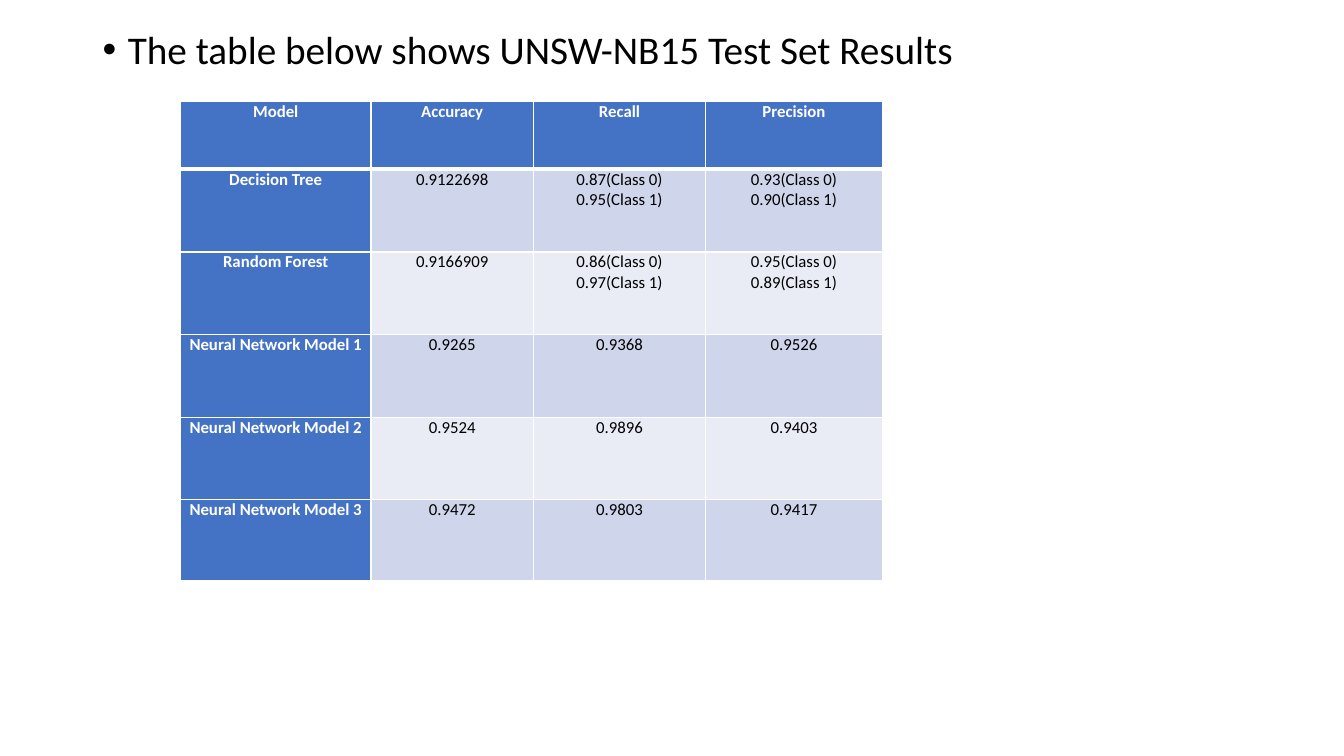
import pptx
import pptx.dml.color
import pptx.enum.text
import pptx.oxml
import pptx.oxml.ns
import pptx.util
from pptx.util import Inches

theme = {
    "font": "Calibri",
    "heading_size": 28,
    "table_size": 12,
    "text": "000000",
    "label_text": "FFFFFF",
    "label_fill": "4472C4",
    "bands": ["E9EBF5", "CFD5EA"],
    "border": "FFFFFF",
}


def format_runs(paragraph, size, color, bold=False):
    for run in paragraph.runs:
        font_format = {"name": theme["font"], "size": pptx.util.Pt(size), "bold": bold}
        for attribute, value in font_format.items():
            setattr(run.font, attribute, value)
        run.font.color.rgb = pptx.dml.color.RGBColor.from_string(color)


def add_border(cell, side, width):
    cell._tc.get_or_add_tcPr().append(pptx.oxml.parse_xml(
        f'<a:ln{side} {pptx.oxml.ns.nsdecls("a")} w="{pptx.util.Pt(width)}">'
        f'<a:solidFill><a:srgbClr val="{theme["border"]}"/></a:solidFill></a:ln{side}>'
    ))


presentation = pptx.Presentation()
presentation.slide_width = Inches(13.33)
presentation.slide_height = Inches(7.5)
slide = presentation.slides.add_slide(presentation.slide_layouts[6])

heading = slide.shapes.add_textbox(Inches(0.92), Inches(0.25), Inches(11.5), Inches(6.5))
heading.text_frame.word_wrap = True
heading_line = heading.text_frame.paragraphs[0]
heading_line.text = "The table below shows UNSW-NB15 Test Set Results"
heading_format = {"line_spacing": 0.9, "space_before": pptx.util.Pt(10)}
for attribute, value in heading_format.items():
    setattr(heading_line, attribute, value)
format_runs(heading_line, theme["heading_size"], theme["text"])
bullet_properties = heading_line._p.get_or_add_pPr()
bullet_properties.set("marL", str(Inches(0.25)))
bullet_properties.set("indent", str(Inches(-0.25)))
for bullet_part in ('buFont {} typeface="Arial"', 'buChar {} char="•"'):
    bullet_properties.append(pptx.oxml.parse_xml(
        f'<a:{bullet_part.format(pptx.oxml.ns.nsdecls("a"))}/>'
    ))

results = [
    ["Model", "Accuracy", "Recall", "Precision"],
    ["Decision Tree", "0.9122698", "0.87(Class 0)\n0.95(Class 1)", "0.93(Class 0)\n0.90(Class 1)"],
    ["Random Forest", "0.9166909", "0.86(Class 0)\n0.97(Class 1)", "0.95(Class 0)\n0.89(Class 1)"],
    ["Neural Network Model 1", "0.9265", "0.9368", "0.9526"],
    ["Neural Network Model 2", "0.9524", "0.9896", "0.9403"],
    ["Neural Network Model 3", "0.9472", "0.9803", "0.9417"],
]
column_widths = [1.89, 1.61, 1.71, 1.75]
row_heights = [0.67, 0.82, 0.82, 0.82, 0.82, 0.8]
cell_format = {
    "margin_left": Inches(0.07),
    "margin_right": Inches(0.07),
    "margin_top": 0,
    "margin_bottom": 0,
}

results_table = slide.shapes.add_table(
    len(results), len(column_widths), Inches(1.79), Inches(1.01), Inches(6.97), Inches(4.74)
).table
results_table.first_col = True
for column, width in zip(results_table.columns, column_widths):
    column.width = Inches(width)
for row, height in zip(results_table.rows, row_heights):
    row.height = Inches(height)

for row_index, result in enumerate(results):
    for column_index, entry in enumerate(result):
        cell = results_table.cell(row_index, column_index)
        is_label = row_index == 0 or column_index == 0
        for attribute, value in cell_format.items():
            setattr(cell, attribute, value)
        border_widths = {
            "L": 1,
            "R": 1,
            "T": 3 if row_index == 1 else 1,
            "B": 3 if row_index == 0 else 1,
        }
        for side, border_width in border_widths.items():
            add_border(cell, side, border_width)
        cell.fill.solid()
        cell.fill.fore_color.rgb = pptx.dml.color.RGBColor.from_string(
            theme["label_fill"] if is_label else theme["bands"][row_index % 2]
        )
        entry_line = cell.text_frame.paragraphs[0]
        entry_line.text = entry
        entry_line.alignment = pptx.enum.text.PP_ALIGN.CENTER
        entry_color = theme["label_text"] if is_label else theme["text"]
        format_runs(entry_line, theme["table_size"], entry_color, is_label)

presentation.save("out.pptx")
